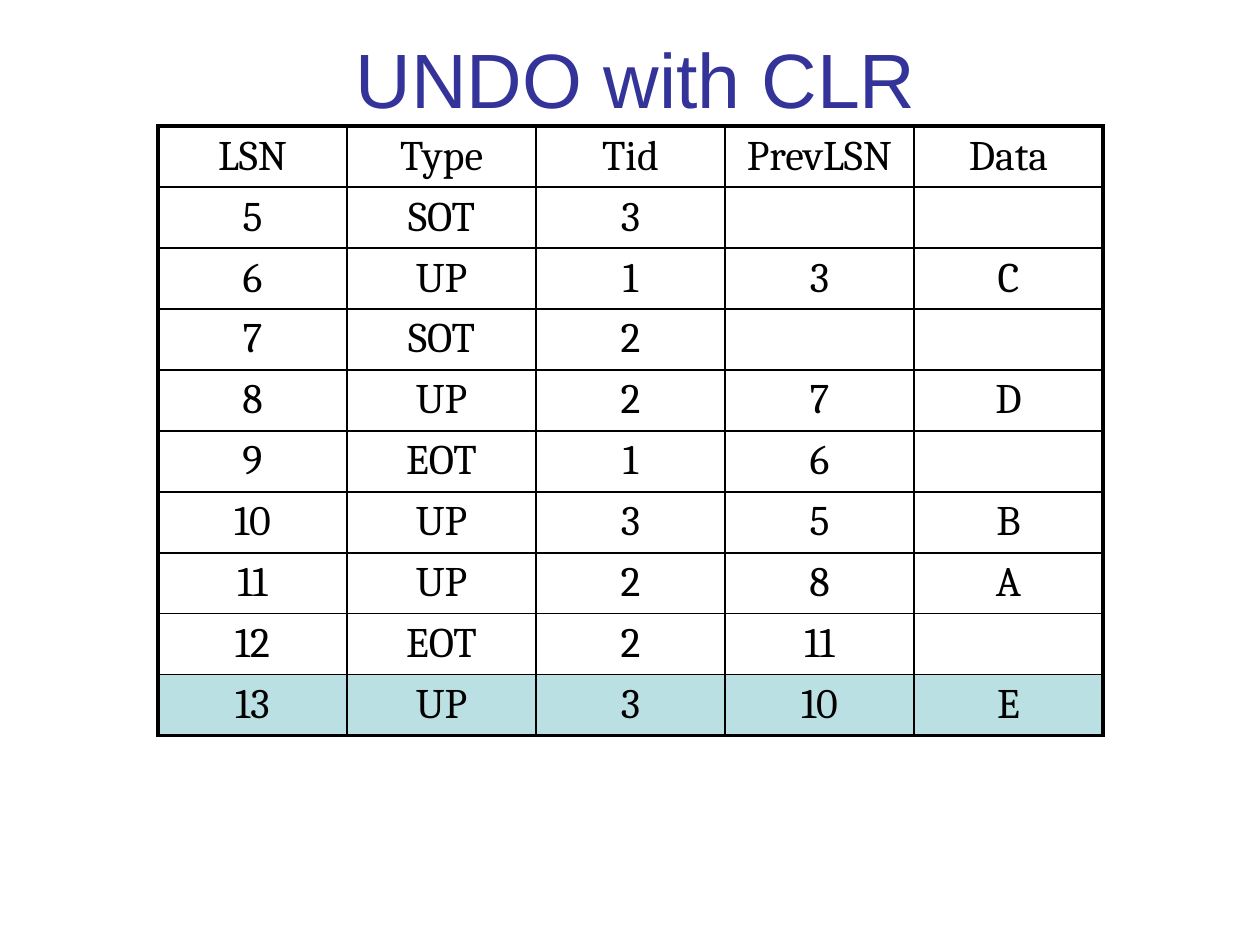
from dataclasses import dataclass

from lxml import etree
from pptx import Presentation
from pptx.dml.color import RGBColor
from pptx.enum.text import MSO_ANCHOR, PP_ALIGN
from pptx.oxml.ns import qn
from pptx.util import Emu, Pt

CENTER = PP_ALIGN.CENTER
MIDDLE = MSO_ANCHOR.MIDDLE
TITLE_ONLY = 5
PX = 914400 / 126  # EMU per px


@dataclass(frozen=True)
class Theme:
    title_font: str = "Arial"
    title_size: int = 44
    title_color: str = "333399"
    table_font: str = "Cambria"
    table_size: int = 24
    ink: str = "000000"
    highlight: str = "BBE0E3"
    outer_line: float = 2.25
    inner_line: float = 1


def px(n):
    return Emu(round(n * PX))


class SlideBuilder:
    def __init__(self, prs, theme):
        self.theme = theme
        self.slide = prs.slides.add_slide(prs.slide_layouts[TITLE_ONLY])

    def format_text(self, tf, font, size, color):
        for p in tf.paragraphs:
            p.alignment = CENTER
            for r in p.runs:
                r.font.name = font
                r.font.size = Pt(size)
                r.font.color.rgb = RGBColor.from_string(color)

    def title(self, text, left, top, width, height):
        t = self.theme
        sp = self.slide.shapes.title
        sp.left, sp.top, sp.width, sp.height = map(px, (left, top, width, height))
        tf = sp.text_frame
        tf.text = text
        tf.vertical_anchor = MIDDLE
        self.format_text(tf, t.title_font, t.title_size, t.title_color)

    def border(self, cell, side, width):
        ln = etree.SubElement(cell._tc.get_or_add_tcPr(), qn(f"a:ln{side}"), w=str(Pt(width)))
        fill = etree.SubElement(ln, qn("a:solidFill"))
        etree.SubElement(fill, qn("a:srgbClr"), val=self.theme.ink)

    def table(self, rows, left, top, col_width, row_height, highlighted):
        t = self.theme
        n_rows, n_cols = len(rows), len(rows[0])
        frame = self.slide.shapes.add_table(
            n_rows, n_cols, px(left), px(top),
            px(col_width * n_cols), px(row_height * n_rows))
        table = frame.table
        table.first_row = table.horz_banding = False
        for i, row in enumerate(rows):
            for j, value in enumerate(row):
                cell = table.cell(i, j)
                cell.text = value
                self.format_text(cell.text_frame, t.table_font, t.table_size, t.ink)
                # Thick lines on the outer edges only
                edges = {"L": j == 0, "R": j == n_cols - 1,
                         "T": i == 0, "B": i == n_rows - 1}
                for side, outer in edges.items():
                    self.border(cell, side, t.outer_line if outer else t.inner_line)
                if i == highlighted:
                    cell.fill.solid()
                    cell.fill.fore_color.rgb = RGBColor.from_string(t.highlight)
                else:
                    cell.fill.background()


LOG = [
    ("LSN", "Type", "Tid", "PrevLSN", "Data"),
    ("5", "SOT", "3", "", ""),
    ("6", "UP", "1", "3", "C"),
    ("7", "SOT", "2", "", ""),
    ("8", "UP", "2", "7", "D"),
    ("9", "EOT", "1", "6", ""),
    ("10", "UP", "3", "5", "B"),
    ("11", "UP", "2", "8", "A"),
    ("12", "EOT", "2", "11", ""),
    ("13", "UP", "3", "10", "E"),
]


def main():
    prs = Presentation()
    prs.slide_width, prs.slide_height = px(1260), px(945)
    s = SlideBuilder(prs, Theme())

    # Title
    s.title("UNDO with CLR", 53, 10, 1166, 136)

    # Log table, last record highlighted
    s.table(LOG, left=158, top=126, col_width=189, row_height=61,
            highlighted=len(LOG) - 1)

    prs.save("out.pptx")


if __name__ == "__main__":
    main()
